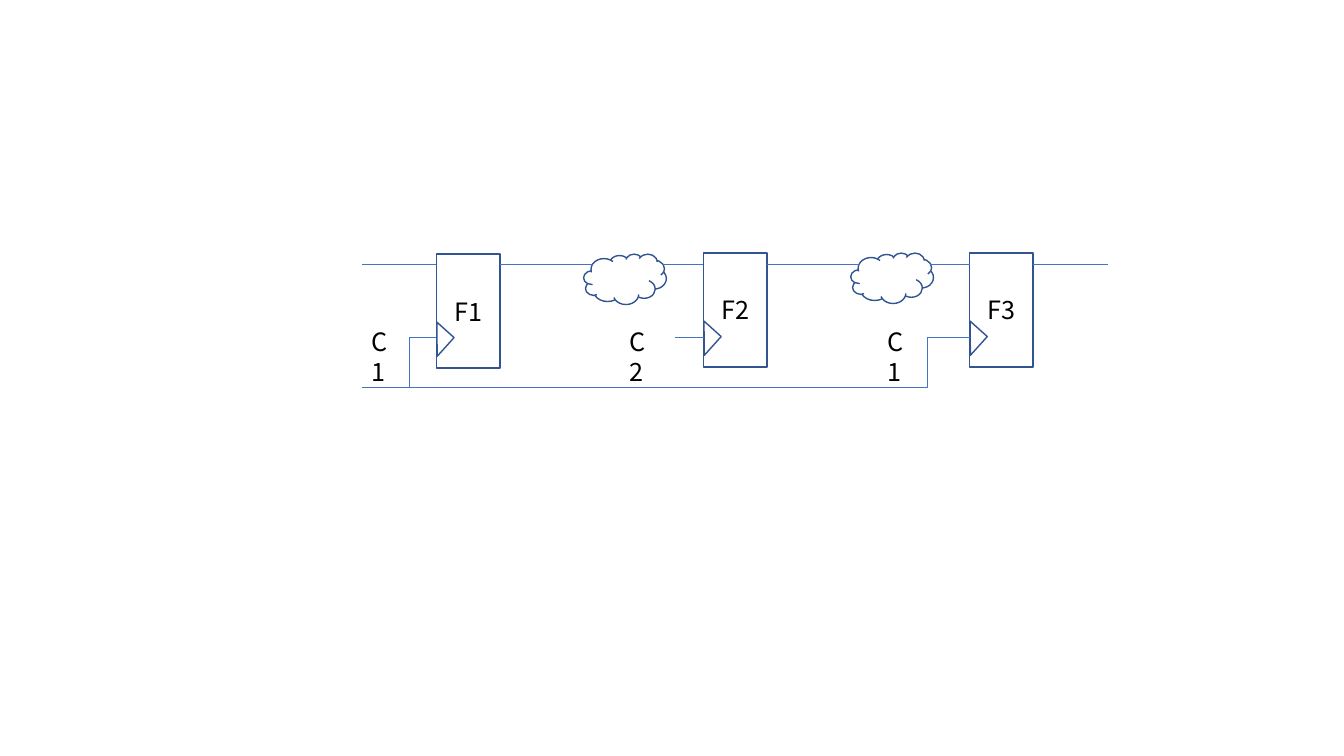
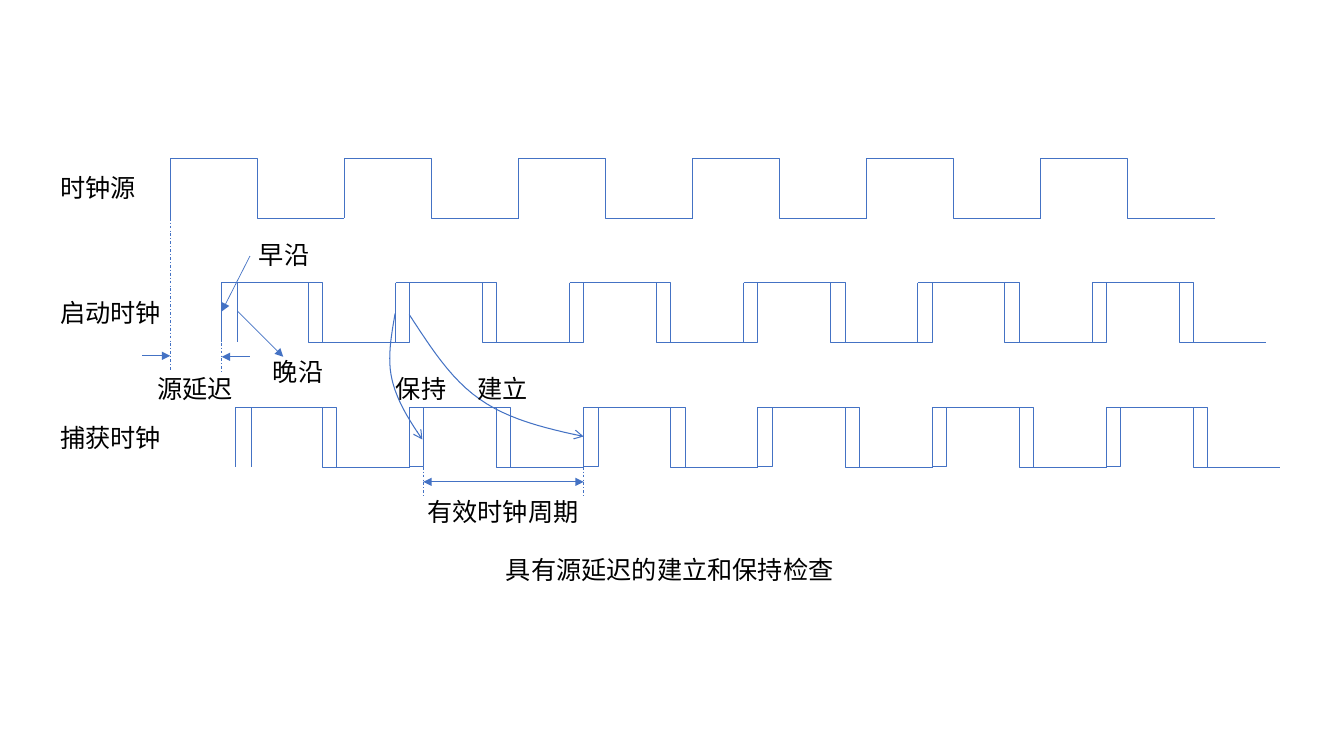
from dataclasses import dataclass
from typing import Optional
from lxml.etree import SubElement as Sub
from pptx import Presentation as Deck
from pptx.dml.color import RGBColor as Rgb
from pptx.enum.dml import MSO_LINE as Dash
from pptx.enum.shapes import MSO_CONNECTOR as Link, MSO_SHAPE as Form
from pptx.enum.text import MSO_ANCHOR as Anchor, PP_ALIGN as Align
from pptx.oxml.ns import qn
from pptx.util import Emu, Inches, Pt

CELL = Inches(0.1)
COLS, ROWS = 133.33, 75
FONT = "Noto Sans CJK SC"
INK, EDGE, WIRE = "000000", "325491", "4472C4"


@dataclass
class Flop:
    name: str
    x: float
    y: float


@dataclass
class Label:
    text: str
    x: float
    y: float
    w: float
    wrap: bool = False


@dataclass
class Clock:
    x: float
    y: float
    late: bool


@dataclass
class Wire:
    x1: float
    y1: float
    x2: float
    y2: float
    head: Optional[str] = None
    tail: Optional[str] = None
    dash: bool = False


@dataclass
class Curve:
    start: tuple
    bends: list


def grid(n: float) -> Emu:
    return Emu(round(n * CELL))


def tint(code: str) -> Rgb:
    return Rgb.from_string(code)


def write(shape, text: str) -> None:
    shape.text_frame.text = text
    for run in shape.text_frame.paragraphs[0].runs:
        run.font.size = Pt(18)
        run.font.name = FONT
        run.font.color.rgb = tint(INK)
        Sub(run._r.get_or_add_rPr(), qn("a:ea"), typeface=FONT)


def stroke(line, code: str, width: float, head=None, tail=None, dash=False) -> None:
    line.color.rgb = tint(code)
    line.width = Pt(width)
    if dash:
        line.dash_style = Dash.DASH_DOT
    for tag, kind in (("a:headEnd", head), ("a:tailEnd", tail)):
        if kind:
            Sub(line._get_or_add_ln(), qn(tag), type=kind)


def join(slide, kind, x1: float, y1: float, x2: float, y2: float, **ends):
    link = slide.shapes.add_connector(kind, *map(grid, (x1, y1, x2, y2)))
    stroke(link.line, WIRE, 0.5, **ends)
    Sub(link._element.spPr, qn("a:effectLst"))
    return link


def wire(slide, w: Wire) -> None:
    join(slide, Link.STRAIGHT, w.x1, w.y1, w.x2, w.y2,
         head=w.head, tail=w.tail, dash=w.dash)


def elbow(slide, x1: float, y1: float, x2: float, y2: float, bend: float = 0.5):
    link = join(slide, Link.ELBOW, x1, y1, x2, y2)
    Sub(link._element.find(".//" + qn("a:avLst")), qn("a:gd"),
        name="adj1", fmla=f"val {round(bend * 100000)}")
    return link


def hook(slide, x1: float, y1: float, x2: float, y2: float) -> None:
    mx, my = (x1 + x2) / 2, (y1 + y2) / 2
    w, h = abs(y2 - y1) / 2, abs(x2 - x1) / 2
    turn = 90
    if y2 < y1:
        turn, h = 270, -h
    link = elbow(slide, mx - w, my - h, mx + w, my + h, 0.998)
    link._element.spPr.find(qn("a:xfrm")).set("rot", str(turn * 60000))


def block(slide, form, x: float, y: float, w: float, h: float):
    shape = slide.shapes.add_shape(form, *map(grid, (x, y, w, h)))
    shape.shadow.inherit = False
    shape.fill.background()
    stroke(shape.line, EDGE, 1)
    return shape


def label(slide, item: Label) -> None:
    box = slide.shapes.add_textbox(*map(grid, (item.x, item.y, item.w, 4)))
    box.text_frame.word_wrap = item.wrap
    write(box, item.text)


def flop(slide, item: Flop) -> None:
    body = block(slide, Form.RECTANGLE, item.x, item.y, 6.3, 11.3)
    write(body, item.name)
    body.text_frame.vertical_anchor = Anchor.MIDDLE
    body.text_frame.paragraphs[0].alignment = Align.CENTER
    notch = block(slide, Form.RIGHT_TRIANGLE, item.x - 1.1, item.y + 7.2, 2.3, 2.5)
    notch.rotation = 222


def clock(slide, item: Clock) -> None:
    top, base = item.y, item.y + HIGH
    for n in range(PULSES):
        x = item.x + n * CYCLE
        elbow(slide, x, top, x + CYCLE, base)
        wire(slide, Wire(x, top, x, base))
        if not item.late:
            continue
        fall = x + CYCLE / 2
        hook(slide, fall + LAG, base, fall, top)
        if n:
            hook(slide, x + LAG, top, x, base)
        else:
            wire(slide, Wire(x + 1.6, top, x + 1.6, base))


def curve(slide, item: Curve) -> None:
    spots, last = [], item.start
    for bend in item.bends:
        knots = (last, *bend)
        for n in range(1, STEPS + 1):
            t = n / STEPS
            u = 1 - t
            mix = (u ** 3, 3 * u * u * t, 3 * u * t * t, t ** 3)
            spots.append(tuple(grid(sum(m * k[a] for m, k in zip(mix, knots)))
                               for a in (0, 1)))
        last = bend[-1]
    pen = slide.shapes.build_freeform(*map(grid, item.start))
    pen.add_line_segments(spots, close=False)
    shape = pen.convert_to_shape()
    shape.shadow.inherit = False
    shape.fill.background()
    stroke(shape.line, WIRE, 0.75, tail="arrow")


CYCLE, HIGH, LAG = 17.27, 5.93, 1.4
PULSES, STEPS = 6, 12
DATA, PIN, BUS = 26.2, 33.5, 38.4

FLOPS = [Flop("F1", 43.3, 25.2), Flop("F2", 69.8, 25.1), Flop("F3", 96.2, 25.1)]
PINS = [Label(text, 35.9 + n * 25.6, 31.9, 4.9, True)
        for n, text in enumerate(("C1", "C2", "C1"))]
FEEDS = [
    Wire(35.9, DATA, 43.3, DATA),
    Wire(102.5, DATA, 109.9, DATA),
    Wire(43.3, PIN, 40.6, PIN),
    Wire(40.6, BUS, 40.6, PIN),
    Wire(69.8, PIN, 67, PIN),
]

CLOCKS = [Clock(16.9, 15.7, False), Clock(21.97, 28.03, True), Clock(23.37, 40.4, True)]
MARKS = [
    Wire(16.9, 21.6, 16.9, 36.9, dash=True),
    Wire(22, 34, 22, 36.9, dash=True),
    Wire(42, 46.3, 42, 49.2, dash=True),
    Wire(57.9, 46.3, 57.9, 49.2, dash=True),
    Wire(14.1, 35.3, 16.9, 35.3, tail="triangle"),
    Wire(24.8, 35.4, 22, 35.4, tail="triangle"),
    Wire(24.8, 25.4, 22, 30.9, tail="triangle"),
    Wire(23.6, 30.9, 28.1, 35.4, tail="triangle"),
    Wire(42, 47.8, 57.9, 47.8, head="triangle", tail="triangle"),
]
CURVES = [
    Curve((39.2, 31.1), [((38.8, 33.4), (38.4, 35.6), (38.9, 37.7)),
                         ((39.4, 39.8), (40.6, 41.7), (41.9, 43.6))]),
    Curve((40.6, 31.2), [((42.7, 34.4), (44.7, 37.6), (47.6, 39.6)),
                         ((50.4, 41.6), (54.1, 42.5), (57.9, 43.3))]),
]
NOTES = [
    Label("时钟源", 5, 16.6, 9.6),
    Label("启动时钟", 5, 29, 12.1),
    Label("捕获时钟", 5, 41.4, 12.1),
    Label("源延迟", 14.6, 36.5, 9.6),
    Label("早沿", 24.7, 23.3, 7.1),
    Label("晚沿", 26.1, 34.9, 7.1),
    Label("有效时钟周期", 41.4, 48.7, 17.2),
    Label("保持", 38.3, 36.5, 7.1),
    Label("建立", 46.4, 36.5, 7.1),
    Label("具有源延迟的建立和保持检查", 49.2, 54.5, 34.8),
]


def chain(slide) -> None:
    for item in FLOPS:
        flop(slide, item)
    for item in FLOPS[:-1]:
        block(slide, Form.CLOUD, item.x + 14.6, item.y, 8.2, 5)
        for start, end in ((6.3, 15.5), (22.5, 26.4)):
            wire(slide, Wire(item.x + start, DATA, item.x + end, DATA))
    elbow(slide, 35.9, BUS, 96.2, PIN, 0.93)
    for item in FEEDS:
        wire(slide, item)
    for item in PINS:
        label(slide, item)


def timing(slide) -> None:
    for item in CLOCKS:
        clock(slide, item)
    for item in MARKS:
        wire(slide, item)
    for item in CURVES:
        curve(slide, item)
    for item in NOTES:
        label(slide, item)


def main() -> None:
    deck = Deck()
    deck.slide_width, deck.slide_height = grid(COLS), grid(ROWS)
    for draw in (chain, timing):
        draw(deck.slides.add_slide(deck.slide_layouts[6]))
    deck.save("out.pptx")


main()
